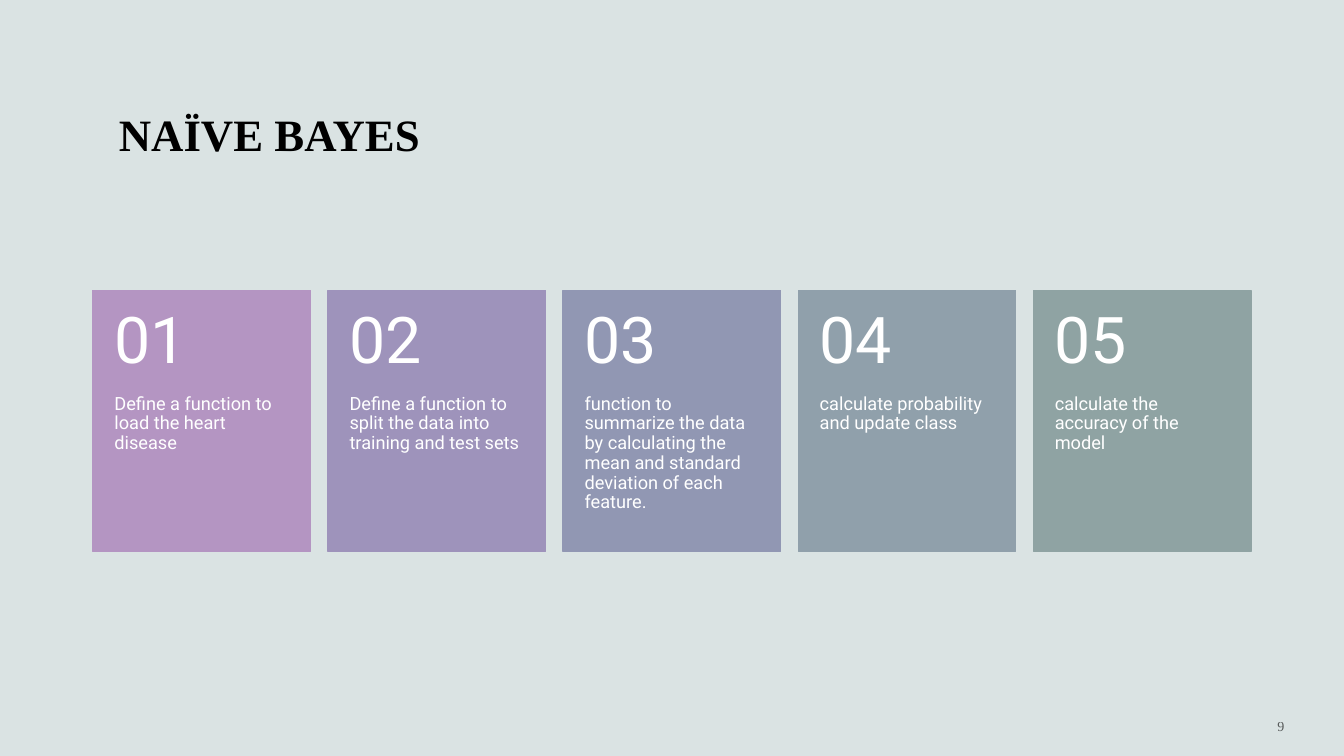
"""Build the Naïve Bayes slide: a title, five step cards and a page number."""
from lxml import etree
from pptx import Presentation
from pptx import util as u
from pptx.dml.color import RGBColor
from pptx.enum import shapes, text
from pptx.oxml import ns

BACKGROUND = RGBColor(0xDA, 0xE3, 0xE3)
BLACK = RGBColor(0, 0, 0)
WHITE = RGBColor(0xFF, 0xFF, 0xFF)
MAUVE = RGBColor(0xB4, 0x95, 0xC2)
VIOLET = RGBColor(0x9E, 0x93, 0xBB)
PERIWINKLE = RGBColor(0x91, 0x97, 0xB3)
SLATE = RGBColor(0x90, 0xA0, 0xAB)
SAGE = RGBColor(0x8F, 0xA3, 0xA3)

SERIF = "Times New Roman"
SANS = "Roboto"
STEPS = [
    ("Define a function to load the heart disease", MAUVE),
    ("Define a function to split the data into training and test sets", VIOLET),
    ("function to summarize the data by calculating the mean and standard "
     "deviation of each feature.", PERIWINKLE),
    ("calculate probability and update class", SLATE),
    ("calculate the accuracy of the model", SAGE),
]


def add_text(parent, words, box, size, font, color, bold=False,
             anchor=text.MSO_ANCHOR.TOP, align=text.PP_ALIGN.LEFT,
             insets=(7.2, 3.6, 7.2, 3.6), line_spacing=1.0):
    area = parent.add_textbox(*map(u.Pt, box))
    frame = area.text_frame
    frame.word_wrap = True
    frame.vertical_anchor = anchor
    (frame.margin_left, frame.margin_top,
     frame.margin_right, frame.margin_bottom) = map(u.Pt, insets)
    para = frame.paragraphs[0]
    para.alignment = align
    para.line_spacing = line_spacing
    span = para.add_run()
    span.text = words
    span.font.size = u.Pt(size)
    span.font.name = font
    span.font.bold = bold
    span.font.color.rgb = color
    return span


def add_title(page, box):
    add_text(page.shapes, "NAÏVE BAYES", box, 32, SERIF, BLACK, bold=True,
             anchor=text.MSO_ANCHOR.BOTTOM, line_spacing=0.9)


def add_card(parent, number, words, color, box):
    left, top, width, height = box
    header = height * 0.4
    card = parent.add_shape(shapes.MSO_SHAPE.RECTANGLE, *map(u.Pt, box))
    card.shadow.inherit = False
    card.fill.solid()
    card.fill.fore_color.rgb = color
    card.line.color.rgb = color
    card.line.width = u.Pt(0.85)
    add_text(parent, words, (left, top + header, width, height - header),
             13, SANS, WHITE, insets=(15.4, 0, 15.4, 26), line_spacing=0.9)
    add_text(parent, f"{number:02d}", (left, top, width, header),
             46, SANS, WHITE, anchor=text.MSO_ANCHOR.MIDDLE,
             insets=(15.4, 13, 15.4, 13), line_spacing=0.9)


def add_steps(page, box, gap=12.4):
    left, top, width, height = box
    card_width = (width - gap * (len(STEPS) - 1)) / len(STEPS)
    group = page.shapes.add_group_shape()
    for index, (words, color) in enumerate(STEPS):
        card_left = left + index * (card_width + gap)
        add_card(group.shapes, index + 1, words, color,
                 (card_left, top, card_width, height))


def add_page_number(page, box):
    span = add_text(page.shapes, "9", box, 10, SERIF, BLACK,
                    anchor=text.MSO_ANCHOR.MIDDLE, align=text.PP_ALIGN.RIGHT)
    properties = span.font._element
    properties.set("spc", "200")
    color = properties.find(".//" + ns.qn("a:srgbClr"))
    etree.SubElement(color, ns.qn("a:alpha"), val="60000")


def main():
    deck = Presentation()
    deck.slide_width, deck.slide_height = u.Pt(960), u.Pt(540)
    page = deck.slides.add_slide(deck.slide_layouts[6])
    page.background.fill.solid()
    page.background.fill.fore_color.rgb = BACKGROUND
    add_title(page, (77.8, 31, 804, 87.8))
    add_steps(page, (66.4, 207.2, 827.2, 186.6))
    add_page_number(page, (786.2, 500.4, 138.2, 36))
    deck.save("out.pptx")


if __name__ == "__main__":
    main()
